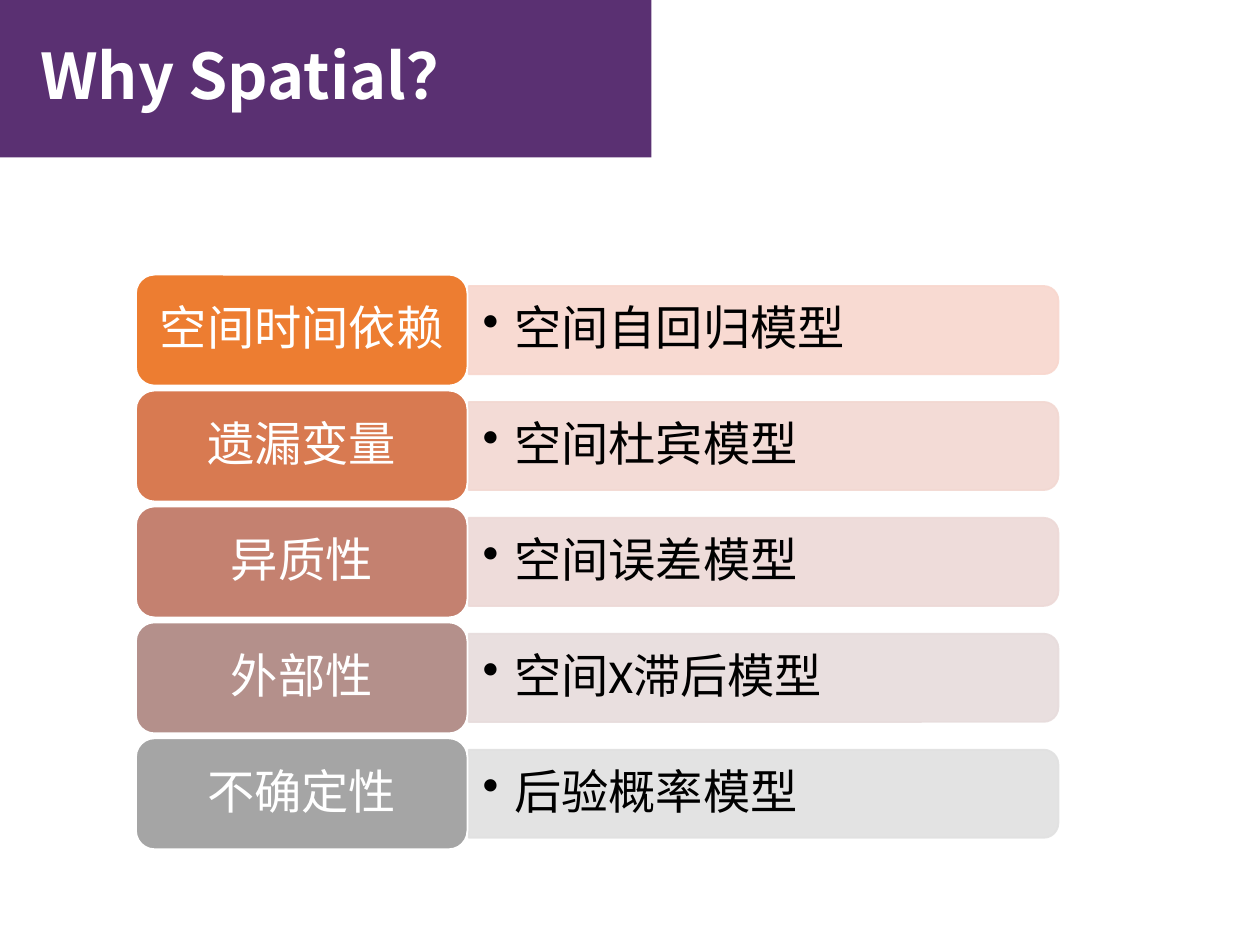
from lxml import etree
from pptx import Presentation, util as u
from pptx.dml.color import RGBColor
from pptx.enum import shapes, text
from pptx.oxml.ns import qn

COLORS = {"banner": "5A3072", "white": "FFFFFF", "black": "000000"}
ROWS = [
    ("空间时间依赖", "空间自回归模型", "ED7D31", "F8D7CE"),
    ("遗漏变量", "空间杜宾模型", "D87A51", "F2D8D2"),
    ("异质性", "空间误差模型", "C48170", "EDD9D7"),
    ("外部性", "空间X滞后模型", "B4908B", "E7DCDC"),
    ("不确定性", "后验概率模型", "A5A5A5", "E1E1E1"),
]
TOP, PITCH = 2.18, 0.92
LABEL_LEFT, LABEL_WIDTH, LABEL_HEIGHT = 1.08, 2.63, 0.88
BAR_LEFT, BAR_WIDTH, BAR_HEIGHT = LABEL_LEFT + LABEL_WIDTH + 0.01, 4.68, 0.7
TEXT_HEIGHT = 0.63


def add_block(preset, left, top, width, height, fill, line=None, opacity=100):
    block = page.shapes.add_shape(preset, *map(u.Inches, (left, top, width, height)))
    block.shadow.inherit = False
    block.fill.solid()
    block.fill.fore_color.rgb = RGBColor.from_string(fill)
    if line:
        block.line.color.rgb = RGBColor.from_string(line)
        block.line.width = u.Pt(1)
    else:
        block.line.fill.background()
    if opacity < 100:
        for color in block._element.spPr.iter(qn("a:srgbClr")):
            etree.SubElement(color, qn("a:alpha"), val=str(opacity * 1000))
    return block


def write(box, words, size, color, font="Calibri", align=text.PP_ALIGN.LEFT, bullet=False):
    frame = box.text_frame
    frame.word_wrap = True
    frame.vertical_anchor = text.MSO_ANCHOR.MIDDLE
    frame.margin_top = frame.margin_bottom = u.Inches(0.06)
    frame.margin_left = frame.margin_right = u.Inches(0.11)
    para = frame.paragraphs[0]
    para.text = words
    para.alignment = align
    para.line_spacing = 0.9
    if bullet:
        props = para._p.get_or_add_pPr()
        props.set("marL", str(u.Inches(0.25)))
        props.set("indent", str(u.Inches(-0.25)))
        etree.SubElement(props, qn("a:buChar"), char="•")
    para.font.size = u.Pt(size)
    para.font.name = font
    para.font.color.rgb = RGBColor.from_string(color)
    return para


deck = Presentation()
deck.slide_width, deck.slide_height = u.Inches(10), u.Inches(7.5)
page = deck.slides.add_slide(deck.slide_layouts[6])

add_block(shapes.MSO_SHAPE.RECTANGLE, -0.03, 0, 5.2, 1.25, COLORS["banner"])
title = page.shapes.add_textbox(*map(u.Inches, (0.21, 0.13, 6.58, 0.99)))
heading = write(title, "Why Spatial？", 36, COLORS["white"], "Noto Sans CJK SC")
heading.font.bold = True

for row, (cause, model, label_color, bar_color) in enumerate(ROWS):
    top = TOP + row * PITCH
    middle = top + LABEL_HEIGHT / 2

    bar = add_block(
        shapes.MSO_SHAPE.ROUND_2_SAME_RECTANGLE,
        BAR_LEFT + (BAR_WIDTH - BAR_HEIGHT) / 2, middle - BAR_WIDTH / 2,
        BAR_HEIGHT, BAR_WIDTH, bar_color, bar_color, 90,
    )
    bar.rotation = 90
    model_box = page.shapes.add_textbox(
        *map(u.Inches, (BAR_LEFT, middle - TEXT_HEIGHT / 2, BAR_WIDTH, TEXT_HEIGHT))
    )
    write(model_box, model, 27, COLORS["black"], bullet=True)

    label = add_block(
        shapes.MSO_SHAPE.ROUNDED_RECTANGLE,
        LABEL_LEFT, top, LABEL_WIDTH, LABEL_HEIGHT, label_color, COLORS["white"],
    )
    write(label, cause, 27, COLORS["white"], align=text.PP_ALIGN.CENTER)

deck.save("out.pptx")
